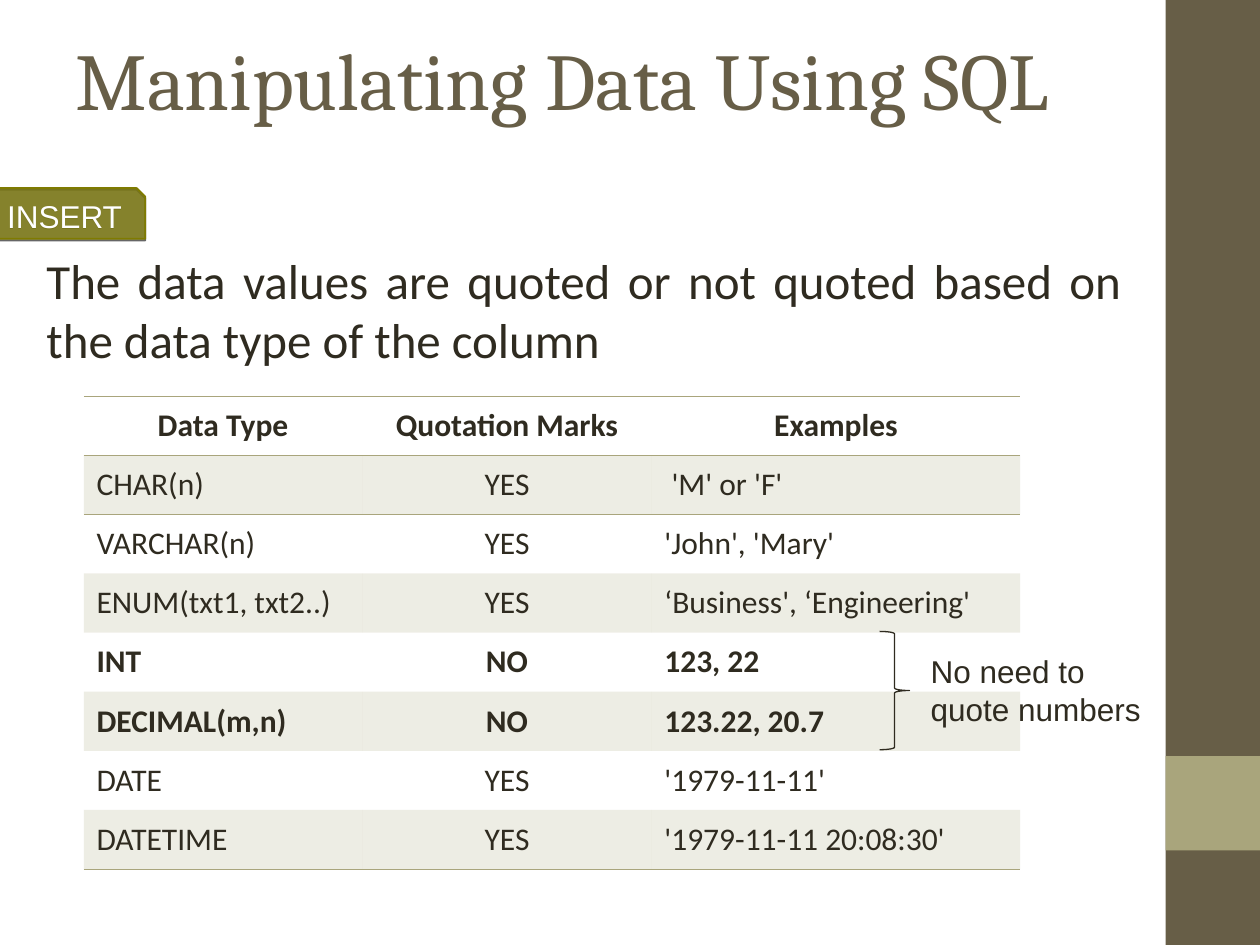
from dataclasses import dataclass

from lxml import etree
from pptx import Presentation
from pptx.dml.color import RGBColor
from pptx.enum.shapes import MSO_SHAPE
from pptx.enum.text import MSO_ANCHOR, PP_ALIGN
from pptx.oxml.ns import qn
from pptx.util import Pt

LEFT, CENTER, JUSTIFY = PP_ALIGN.LEFT, PP_ALIGN.CENTER, PP_ALIGN.JUSTIFY
TOP, MIDDLE = MSO_ANCHOR.TOP, MSO_ANCHOR.MIDDLE
RECTANGLE = MSO_SHAPE.RECTANGLE
SNIPPED = MSO_SHAPE.SNIP_1_RECTANGLE
BRACE = MSO_SHAPE.RIGHT_BRACE

BROWN, SAGE, INK, OLIVE, WHITE = "675E47", "A9A57C", "2F2B20", "7F7B00", "FFFFFF"
NO_STYLE = "{2D5ABB26-0587-4C30-8999-92F81FD0307C}"


@dataclass(frozen=True)
class Box:
    left: float
    top: float
    width: float
    height: float

    def lengths(self) -> tuple:
        return Pt(self.left), Pt(self.top), Pt(self.width), Pt(self.height)


@dataclass(frozen=True)
class TextStyle:
    font: str
    size: float
    color: str = INK
    align: PP_ALIGN = LEFT
    anchor: MSO_ANCHOR = TOP


@dataclass(frozen=True)
class TypeRow:
    data_type: str
    quoted: str
    example: str
    bold: bool = False


ROWS = [
    TypeRow("Data Type", "Quotation Marks", "Examples", True),
    TypeRow("CHAR(n)", "YES", " 'M' or 'F'"),
    TypeRow("VARCHAR(n)", "YES", "'John', 'Mary'"),
    TypeRow("ENUM(txt1, txt2..)", "YES", "‘Business', ‘Engineering'"),
    TypeRow("INT", "NO", "123, 22", True),
    TypeRow("DECIMAL(m,n)", "NO", "123.22, 20.7", True),
    TypeRow("DATE", "YES", "'1979-11-11'"),
    TypeRow("DATETIME", "YES", "'1979-11-11 20:08:30'"),
]
COLUMN_WIDTHS = (159, 165.5, 210.5)
ROW_HEIGHT = 33.8


def rgb(color: str) -> RGBColor:
    return RGBColor.from_string(color)


def add_color(parent, color: str, alpha: int) -> None:
    """Append a colour with an opacity in percent."""
    element = etree.SubElement(parent, qn("a:srgbClr"), val=color)
    etree.SubElement(element, qn("a:alpha"), val=str(alpha * 1000))


def write(frame, text: str, style: TextStyle, bold: bool = False) -> None:
    frame.word_wrap = True
    frame.vertical_anchor = style.anchor
    paragraph = frame.paragraphs[0]
    paragraph.alignment = style.align
    run = paragraph.add_run()
    run.text = text
    run.font.name = style.font
    run.font.size = Pt(style.size)
    run.font.bold = bold
    run.font.color.rgb = rgb(style.color)


def add_text(slide, box: Box, text: str, style: TextStyle) -> None:
    write(slide.shapes.add_textbox(*box.lengths()).text_frame, text, style)


def add_shape(slide, kind, box: Box, fill: str = "", line: str = "", weight: float = 1):
    shape = slide.shapes.add_shape(kind, *box.lengths())
    shape.shadow.inherit = False
    if fill:
        shape.fill.solid()
        shape.fill.fore_color.rgb = rgb(fill)
    else:
        shape.fill.background()
    if line:
        shape.line.color.rgb = rgb(line)
        shape.line.width = Pt(weight)
    else:
        shape.line.fill.background()
    return shape


def add_tag(slide, box: Box, text: str) -> None:
    tag = add_shape(slide, SNIPPED, box, OLIVE, OLIVE)
    properties = tag._element.spPr
    color = properties.find(qn("a:solidFill"))[0]
    etree.SubElement(color, qn("a:alpha"), val="70000")
    shadow = etree.SubElement(properties.find(qn("a:effectLst")), qn("a:outerShdw"),
                              dist=str(Pt(1)), dir="5400000", rotWithShape="0")
    add_color(shadow, "000000", 60)
    write(tag.text_frame, text, TextStyle("Arial", 18, WHITE, JUSTIFY, MIDDLE))


def add_rule(cell, side: str) -> None:
    line = etree.SubElement(cell._tc.get_or_add_tcPr(), qn(f"a:{side}"), w=str(Pt(0.45)))
    add_color(etree.SubElement(line, qn("a:solidFill")), SAGE, 100)


def add_type_table(slide, left: float, top: float) -> None:
    box = Box(left, top, sum(COLUMN_WIDTHS), ROW_HEIGHT * len(ROWS))
    table = slide.shapes.add_table(len(ROWS), len(COLUMN_WIDTHS), *box.lengths()).table
    table._tbl.tblPr.find(qn("a:tableStyleId")).text = NO_STYLE
    for column, width in zip(table.columns, COLUMN_WIDTHS):
        column.width = Pt(width)
    for index, row in enumerate(ROWS):
        table.rows[index].height = Pt(ROW_HEIGHT)
        for column, text in enumerate((row.data_type, row.quoted, row.example)):
            cell = table.cell(index, column)
            align = CENTER if index == 0 or column == 1 else LEFT
            write(cell.text_frame, text, TextStyle("Calibri", 18, align=align), row.bold)
            cell.vertical_anchor = MIDDLE
            # Rules above and below the header, and under the last row
            if index in (0, 1):
                add_rule(cell, "lnT")
            if index in (0, len(ROWS) - 1):
                add_rule(cell, "lnB")
            # Every second row is tinted
            if index % 2:
                fill = etree.SubElement(cell._tc.get_or_add_tcPr(), qn("a:solidFill"))
                add_color(fill, SAGE, 20)
            else:
                cell.fill.background()


def main() -> None:
    presentation = Presentation()
    presentation.slide_width, presentation.slide_height = Pt(720), Pt(540)
    slide = presentation.slides.add_slide(presentation.slide_layouts[5])

    # Side band
    add_shape(slide, RECTANGLE, Box(666, 0, 54, 540), BROWN)
    add_shape(slide, RECTANGLE, Box(666, 432, 54, 54), SAGE)

    # Title
    title = slide.shapes.title
    title.left, title.top, title.width, title.height = Box(36, 0, 600, 90).lengths()
    write(title.text_frame, "Manipulating Data Using SQL",
          TextStyle("Cambria", 46, BROWN, LEFT, MIDDLE))

    # Statement
    add_text(slide, Box(19.5, 139.7, 628.5, 85),
             "The data values are quoted or not quoted based on "
             "the data type of the column",
             TextStyle("Calibri", 28, align=JUSTIFY))

    # Table of data types
    add_type_table(slide, 48, 226.3)

    # Command tag
    add_tag(slide, Box(-3, 107.5, 86, 29), "INSERT")

    # Note on the numeric types
    add_shape(slide, BRACE, Box(502.7, 360.8, 17, 67.6), line=INK, weight=0.75)
    add_text(slide, Box(524.7, 369.2, 140, 50.5), "No need to quote numbers",
             TextStyle("Arial", 18))

    presentation.save("out.pptx")


if __name__ == "__main__":
    main()
